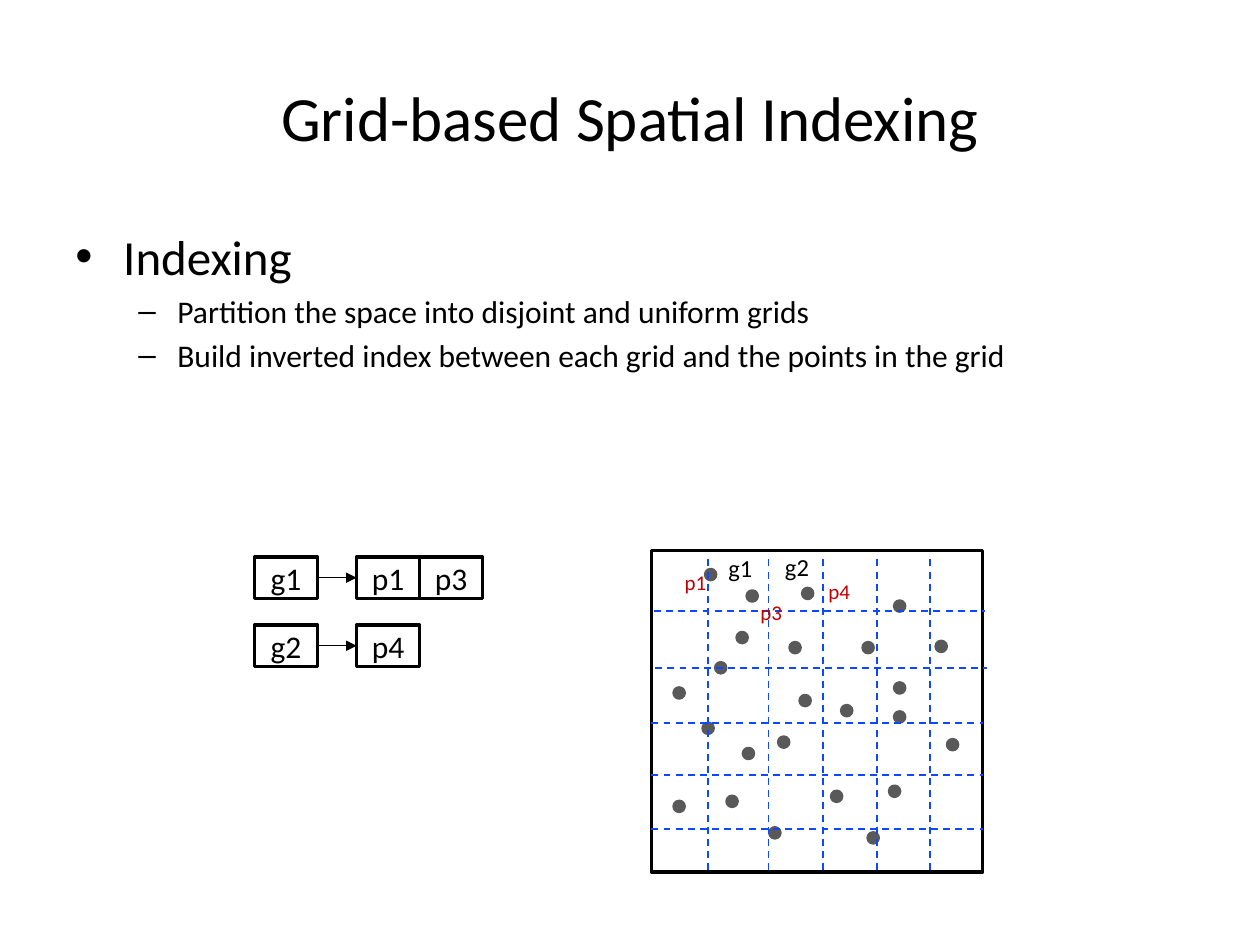
from dataclasses import dataclass

from pptx import Presentation
from pptx.dml.color import RGBColor
from pptx.enum.dml import MSO_LINE_DASH_STYLE as Dash
from pptx.enum.shapes import MSO_CONNECTOR_TYPE as Link, MSO_SHAPE as Shape
from pptx.enum.text import MSO_ANCHOR as Anchor, PP_ALIGN as Align
from pptx.oxml.ns import qn
from pptx.util import Emu, Pt
from lxml.etree import SubElement

PX = 9144


@dataclass(frozen=True)
class Theme:
    font: str = "Calibri"
    ink: str = "000000"
    dot: str = "595959"
    grid: str = "0D47FF"
    point: str = "C00000"
    title: int = 36
    heading: int = 28
    body: int = 18
    cell: int = 14
    label: int = 12


def px(*values):
    return [Emu(value * PX) for value in values]


def write(para, text, *, font, size, color, align=Align.LEFT, before=0):
    para.alignment = align
    para.space_before = Pt(before)
    span = para.add_run()
    span.text = text
    span.font.name = font
    span.font.size = Pt(size)
    span.font.color.rgb = RGBColor.from_string(color)


class Painter:
    def __init__(self, page, theme):
        self.page = page
        self.theme = theme

    def text(self, text, place, size, color, anchor=Anchor.TOP, wrap=False):
        box = self.page.shapes.add_textbox(*px(*place))
        box.text_frame.word_wrap = wrap
        box.text_frame.vertical_anchor = anchor
        write(box.text_frame.paragraphs[0], text, font=self.theme.font,
              size=size, color=color, align=Align.CENTER)

    def bullets(self, items, place):
        frame = self.page.shapes.add_textbox(*px(*place)).text_frame
        frame.word_wrap = True
        for index, (text, mark, size, margin, hang) in enumerate(items):
            para = frame.add_paragraph() if index else frame.paragraphs[0]
            write(para, text, font=self.theme.font, size=size,
                  color=self.theme.ink, before=size / 5)
            layout = para._p.get_or_add_pPr()
            layout.set("marL", str(margin * PX))
            layout.set("indent", str(-hang * PX))
            SubElement(layout, qn("a:buFont"), typeface="Arial")
            SubElement(layout, qn("a:buChar"), char=mark)

    def shape(self, kind, place, line, fill=None):
        shape = self.page.shapes.add_shape(kind, *px(*place))
        shape.shadow.inherit = False
        shape.line.color.rgb = RGBColor.from_string(line)
        shape.line.width = Pt(2)
        if fill:
            shape.fill.solid()
            shape.fill.fore_color.rgb = RGBColor.from_string(fill)
        else:
            shape.fill.background()
        return shape

    def dot(self, left, top):
        self.shape(Shape.OVAL, (left, top, 8, 8), self.theme.dot, self.theme.dot)

    def entry(self, text, left, top):
        box = self.shape(Shape.RECTANGLE, (left, top, 50, 33), self.theme.ink)
        box.text_frame.vertical_anchor = Anchor.MIDDLE
        write(box.text_frame.paragraphs[0], text, font=self.theme.font,
              size=self.theme.body, color=self.theme.ink, align=Align.CENTER)
        return box

    def line(self, ends, color, width):
        line = self.page.shapes.add_connector(Link.STRAIGHT, *px(*ends))
        line.line.color.rgb = RGBColor.from_string(color)
        line.line.width = Pt(width)
        SubElement(line._element.spPr, qn("a:effectLst"))
        return line

    def grid_line(self, *ends):
        self.line(ends, self.theme.grid, 1).line.dash_style = Dash.DASH

    def arrow(self, source, target):
        line = self.line((0, 0, 0, 0), self.theme.ink, 0.75)
        line.begin_connect(source, 3)
        line.end_connect(target, 1)
        SubElement(line.line._get_or_add_ln(), qn("a:tailEnd"), type="triangle")


DOTS = [
    (535, 636), (689, 661), (560, 452), (618, 585), (590, 594), (585, 502),
    (710, 542), (627, 510), (577, 632), (635, 552), (558, 574), (593, 469),
    (637, 467), (535, 546), (706, 624), (685, 510), (660, 628), (668, 560),
    (752, 587), (743, 509), (710, 565), (710, 477), (568, 526), (611, 657),
]
GRID_ROWS = [(517, 574), (519, 485), (520, 530), (517, 615), (517, 658)]
GRID_COLUMNS = [738, 696, 653, 610, 562]
INDEX = [("g1", ["p1", "p3"], 442), ("g2", ["p4"], 496)]
CELL_LABELS = [("g1", 568, 434), ("g2", 613, 433)]
POINT_LABELS = [("p1", 533, 447), ("p3", 593, 471), ("p4", 647, 454)]


def main():
    deck = Presentation()
    deck.slide_width, deck.slide_height = px(1000, 750)
    theme = Theme()
    painter = Painter(deck.slides.add_slide(deck.slide_layouts[6]), theme)

    painter.text("Grid-based Spatial Indexing", (50, 30, 900, 125),
                 theme.title, theme.ink, Anchor.MIDDLE, True)

    for left, top in DOTS:
        painter.dot(left, top)
    painter.shape(Shape.RECTANGLE, (517, 437, 263, 255), theme.ink)
    for left, y in GRID_ROWS:
        painter.grid_line(left, y, left + 263, y)
    for x in GRID_COLUMNS:
        painter.grid_line(x, 444, x, 692)

    for cell, points, top in INDEX:
        key = painter.entry(cell, 202, top)
        entries = [painter.entry(point, 283 + 50 * column, top)
                   for column, point in enumerate(points)]
        painter.arrow(key, entries[0])

    for text, left, top in CELL_LABELS:
        painter.text(text, (left, top, 39, 34), theme.cell, theme.ink)
    for text, left, top in POINT_LABELS:
        painter.text(text, (left, top, 38, 30), theme.label, theme.point)

    painter.bullets([
        ("Indexing", "•", theme.heading, 38, 38),
        ("Partition the space into disjoint and uniform grids",
         "–", theme.body, 81, 31),
        ("Build inverted index between each grid and the points in the grid",
         "–", theme.body, 81, 31),
    ], (50, 175, 900, 340))

    deck.save("out.pptx")


if __name__ == "__main__":
    main()
